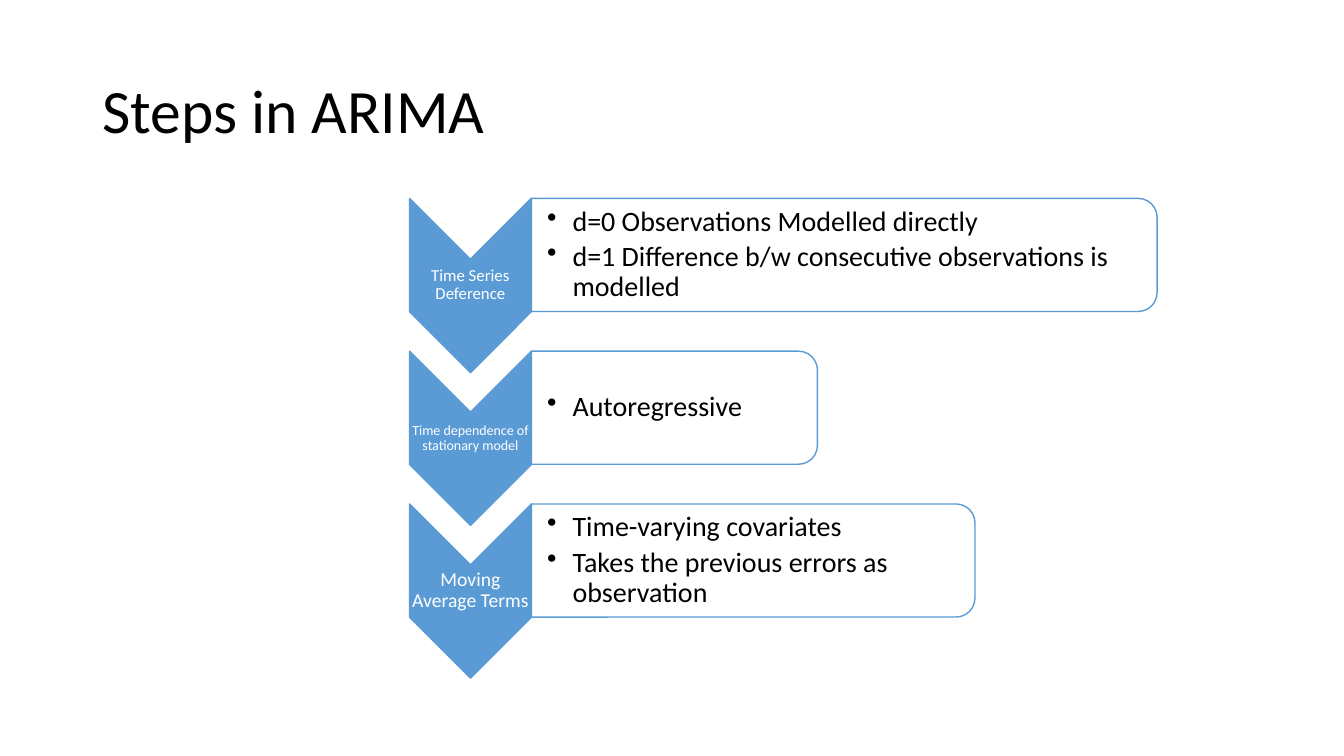
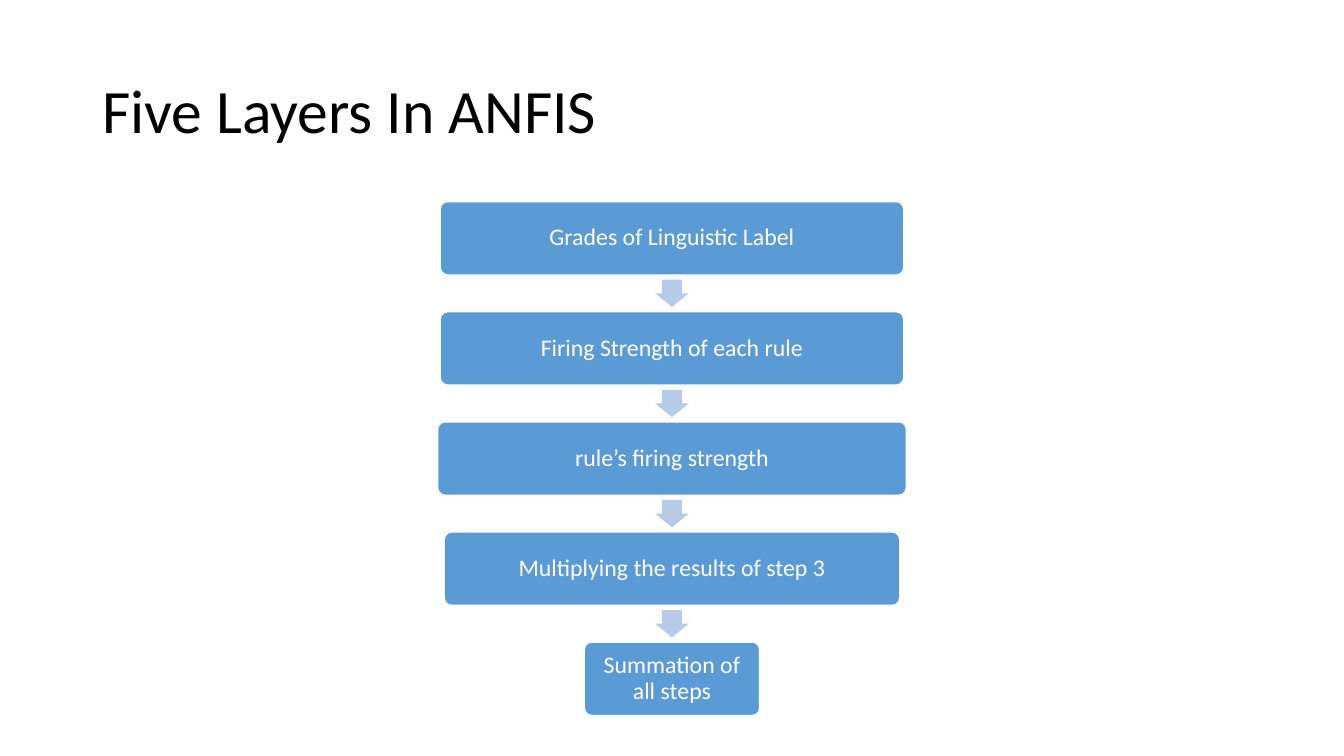
from dataclasses import dataclass
from typing import Any

from lxml import etree
from pptx import Presentation
from pptx.dml.color import RGBColor
from pptx.enum.shapes import MSO_SHAPE
from pptx.enum.text import MSO_ANCHOR, PP_ALIGN
from pptx.oxml.ns import qn
from pptx.util import Cm, Pt

CHEVRON = MSO_SHAPE.CHEVRON
PANEL = MSO_SHAPE.ROUND_2_SAME_RECTANGLE
ROUNDED = MSO_SHAPE.ROUNDED_RECTANGLE
DOWN_ARROW = MSO_SHAPE.DOWN_ARROW
MIDDLE = MSO_ANCHOR.MIDDLE
LEFT, CENTER = PP_ALIGN.LEFT, PP_ALIGN.CENTER

COLORS = {"black": "000000", "white": "FFFFFF", "blue": "5B9BD5", "pale": "B5CBE7"}
FONT_NAME = "Calibri"
SLIDE_WIDTH, SLIDE_HEIGHT = 33.87, 19.05

STEP_TOP, STEP_PITCH = 5.0, 3.85
CHEVRON_LEFT, CHEVRON_WIDTH, CHEVRON_HEIGHT = 10.32, 3.07, 4.39
LABEL_OFFSET, LABEL_HEIGHT = 1.53, 1.32
PANEL_LEFT, PANEL_HEIGHT = 13.39, 2.85
PANEL_TEXT_INSET = 0.14

LAYER_TOP, LAYER_PITCH, LAYER_HEIGHT = 5.08, 2.775, 1.85
ARROW_WIDTH, ARROW_HEIGHT = 0.84, 0.69


@dataclass(frozen=True)
class Box:
    """A visible rectangle in centimetres."""

    left: float
    top: float
    width: float
    height: float


@dataclass(frozen=True)
class TextStyle:
    """Size, colour, alignment and margins of a text."""

    size: float
    color: str
    alignment: Any = CENTER
    left_margin: float = 0.03
    margin: float = 0.03
    bulleted: bool = False


@dataclass(frozen=True)
class Step:
    """A chevron label with its bullet panel."""

    label: str
    label_size: int
    points: tuple[str, ...]
    panel_width: float


@dataclass(frozen=True)
class Layer:
    """One box of the vertical flow."""

    text: str
    width: float


TITLE_BOX = Box(2.33, 1.02, 29.21, 3.68)
TITLE_STYLE = TextStyle(44, "black", LEFT, 0.25, 0.13)
POINT_STYLE = TextStyle(20, "black", LEFT, 0.4, 0.03, True)
LAYER_STYLE = TextStyle(17, "white", CENTER, 0.18, 0.18)

STEPS = (
    Step("Time Series Deference", 12,
         ("d=0 Observations Modelled directly",
          "d=1 Difference b/w consecutive observations is modelled"), 15.77),
    Step("Time dependence of stationary model", 10, ("Autoregressive",), 7.21),
    Step("Moving Average Terms", 14,
         ("Time-varying covariates", "Takes the previous errors as observation"), 11.18),
)
LAYERS = (
    Layer("Grades of Linguistic Label", 11.68),
    Layer("Firing Strength of each rule", 11.68),
    Layer("rule’s firing strength", 11.81),
    Layer("Multiplying the results of step 3", 11.48),
    Layer("Summation of all steps", 4.42),
)


def color(name: str) -> RGBColor:
    """Return a palette colour."""
    return RGBColor.from_string(COLORS[name])


def apply(target: Any, values: dict[str, Any]) -> None:
    """Set each named attribute on the target."""
    for name, value in values.items():
        setattr(target, name, value)


def write_text(shape: Any, lines: tuple[str, ...], style: TextStyle) -> None:
    """Write one styled paragraph per line into a shape."""
    frame = shape.text_frame
    apply(frame, {
        "word_wrap": True, "vertical_anchor": MIDDLE,
        "margin_left": Cm(style.left_margin), "margin_right": Cm(style.margin),
        "margin_top": Cm(style.margin), "margin_bottom": Cm(style.margin),
    })
    for index, line in enumerate(lines):
        paragraph = frame.add_paragraph() if index else frame.paragraphs[0]
        apply(paragraph, {"alignment": style.alignment, "line_spacing": 0.9})
        run = paragraph.add_run()
        run.text = line
        apply(run.font, {"name": FONT_NAME, "size": Pt(style.size)})
        run.font.color.rgb = color(style.color)
        if style.bulleted:
            paragraph.space_after = Pt(3.6)
            properties = paragraph._p.get_or_add_pPr()
            properties.set("marL", str(Cm(0.64)))
            properties.set("indent", str(Cm(-0.64)))
            etree.SubElement(properties, qn("a:buChar")).set("char", "•")


def add_text(slide: Any, box: Box, lines: tuple[str, ...], style: TextStyle) -> None:
    """Add a text box."""
    shape = slide.shapes.add_textbox(
        Cm(box.left), Cm(box.top), Cm(box.width), Cm(box.height))
    write_text(shape, lines, style)


def add_shape(slide: Any, kind: Any, box: Box, fill: str, line: str | None = None,
              adjustments: tuple[float, ...] = ()) -> Any:
    """Add a filled preset shape, outlined when a line colour is given."""
    shape = slide.shapes.add_shape(
        kind, Cm(box.left), Cm(box.top), Cm(box.width), Cm(box.height))
    shape.shadow.inherit = False
    shape.fill.solid()
    shape.fill.fore_color.rgb = color(fill)
    if line:
        shape.line.color.rgb = color(line)
        shape.line.width = Pt(1)
    else:
        shape.line.fill.background()
    for index, value in enumerate(adjustments):
        shape.adjustments[index] = value
    return shape


def add_turned_shape(slide: Any, kind: Any, box: Box, fill: str, line: str) -> Any:
    """Add a shape turned a quarter clockwise that fills the visible box."""
    shift = (box.width - box.height) / 2
    unturned = Box(box.left + shift, box.top - shift, box.height, box.width)
    shape = add_shape(slide, kind, unturned, fill, line)
    shape.rotation = 90
    return shape


def add_step(slide: Any, step: Step, top: float) -> None:
    """Draw a chevron, its label and its bullet panel."""
    chevron = Box(CHEVRON_LEFT, top, CHEVRON_WIDTH, CHEVRON_HEIGHT)
    add_turned_shape(slide, CHEVRON, chevron, "blue", "blue")
    label = Box(CHEVRON_LEFT, top + LABEL_OFFSET, CHEVRON_WIDTH, LABEL_HEIGHT)
    add_text(slide, label, (step.label,), TextStyle(step.label_size, "white"))
    panel = Box(PANEL_LEFT, top, step.panel_width, PANEL_HEIGHT)
    shape = add_turned_shape(slide, PANEL, panel, "white", "blue")
    fill_color = shape._element.spPr.find(qn("a:solidFill"))[0]
    etree.SubElement(fill_color, qn("a:alpha")).set("val", "90000")
    points = Box(PANEL_LEFT, top + PANEL_TEXT_INSET,
                 step.panel_width - PANEL_TEXT_INSET, PANEL_HEIGHT - 2 * PANEL_TEXT_INSET)
    add_text(slide, points, step.points, POINT_STYLE)


def add_layer(slide: Any, layer: Layer, top: float) -> None:
    """Draw a centred layer box with its text."""
    box = Box((SLIDE_WIDTH - layer.width) / 2, top, layer.width, LAYER_HEIGHT)
    shape = add_shape(slide, ROUNDED, box, "blue", "white", (0.1,))
    write_text(shape, (layer.text,), LAYER_STYLE)


def add_arrow(slide: Any, layer_top: float) -> None:
    """Draw an arrow in the middle of the gap above a layer."""
    gap = LAYER_PITCH - LAYER_HEIGHT
    box = Box((SLIDE_WIDTH - ARROW_WIDTH) / 2, layer_top - (gap + ARROW_HEIGHT) / 2,
              ARROW_WIDTH, ARROW_HEIGHT)
    add_shape(slide, DOWN_ARROW, box, "pale", adjustments=(0.6, 0.5))


def add_titled_slide(presentation: Any, title: str) -> Any:
    """Add a blank slide with the shared title style."""
    slide = presentation.slides.add_slide(presentation.slide_layouts[6])
    add_text(slide, TITLE_BOX, (title,), TITLE_STYLE)
    return slide


def main() -> None:
    """Build and save the presentation."""
    presentation = Presentation()
    apply(presentation, {"slide_width": Cm(SLIDE_WIDTH), "slide_height": Cm(SLIDE_HEIGHT)})

    slide = add_titled_slide(presentation, "Steps in ARIMA")
    for index, step in enumerate(STEPS):
        add_step(slide, step, STEP_TOP + index * STEP_PITCH)

    slide = add_titled_slide(presentation, "Five Layers In ANFIS")
    for index, layer in enumerate(LAYERS):
        top = LAYER_TOP + index * LAYER_PITCH
        if index:
            add_arrow(slide, top)
        add_layer(slide, layer, top)

    presentation.save("out.pptx")


if __name__ == "__main__":
    main()
